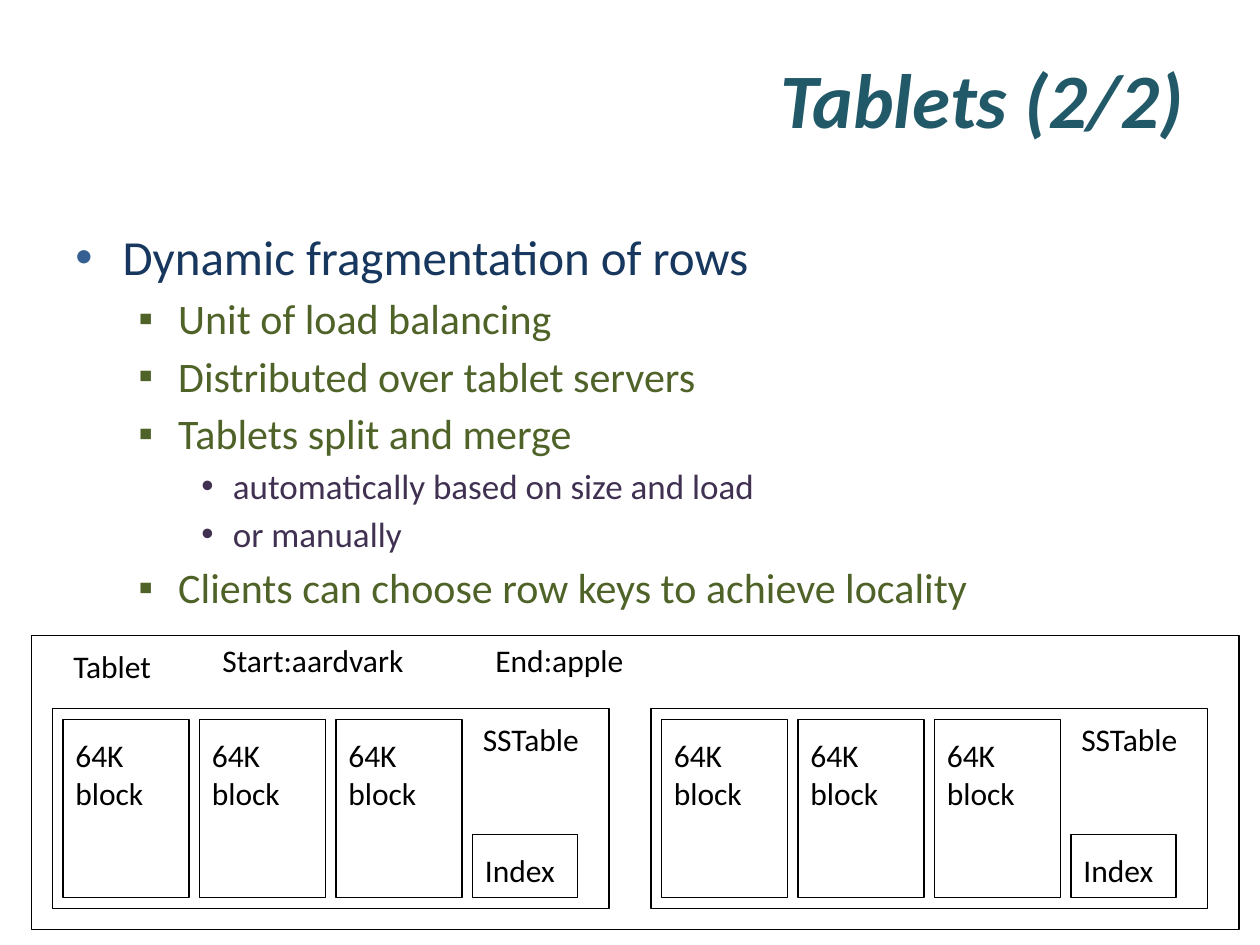
from dataclasses import dataclass

from lxml import etree
from pptx import Presentation
from pptx.dml.color import RGBColor
from pptx.enum.shapes import MSO_SHAPE
from pptx.enum.text import MSO_ANCHOR, MSO_AUTO_SIZE, PP_ALIGN
from pptx.oxml.ns import qn
from pptx.util import Emu, Pt

RECTANGLE = MSO_SHAPE.RECTANGLE
MIDDLE = MSO_ANCHOR.MIDDLE
GROW = MSO_AUTO_SIZE.SHAPE_TO_FIT_TEXT
RIGHT = PP_ALIGN.RIGHT
EMU_PER_PX = 7620


@dataclass(frozen=True)
class BulletStyle:
    symbol: str
    symbol_color: str
    color: str
    size: int
    space_before: float
    indent: int
    hanging: int


@dataclass(frozen=True)
class Theme:
    font: str = "Calibri"
    background: str = "FFFFFF"
    ink: str = "000000"
    title_color: str = "215968"
    title_size: int = 44
    label_size: int = 18
    line_width: float = 0.75
    bullets: tuple = (
        BulletStyle("•", "376092", "17375E", 28, 5, 45, 45),
        BulletStyle("▪", "4F6228", "4F6228", 24, 4.1, 98, 38),
        BulletStyle("•", "403152", "403152", 20, 3.6, 150, 30),
    )


def px(length):
    return Emu(length * EMU_PER_PX)


class SlideBuilder:
    def __init__(self, slide, theme):
        self.slide = slide
        self.theme = theme
        fill = slide.background.fill
        fill.solid()
        fill.fore_color.rgb = RGBColor.from_string(theme.background)

    def format_font(self, paragraph, size, color, emphasis=False):
        for run in paragraph.runs:
            font = run.font
            font.name = self.theme.font
            font.size = Pt(size)
            font.color.rgb = RGBColor.from_string(color)
            font.bold = font.italic = emphasis

    def text_box(self, left, top, width, height):
        shape = self.slide.shapes.add_textbox(px(left), px(top), px(width), px(height))
        shape.text_frame.word_wrap = True
        return shape.text_frame

    def title(self, text, left, top, width, height):
        text_frame = self.text_box(left, top, width, height)
        text_frame.text = text
        text_frame.vertical_anchor = MIDDLE
        paragraph = text_frame.paragraphs[0]
        paragraph.alignment = RIGHT
        self.format_font(paragraph, self.theme.title_size, self.theme.title_color, True)

    def bullet_list(self, items, left, top, width, height):
        text_frame = self.text_box(left, top, width, height)
        text_frame.text = "\n".join(text for level, text in items)
        for index, (level, text) in enumerate(items):
            paragraph = text_frame.paragraphs[index]
            style = self.theme.bullets[level]
            self.add_bullet(paragraph, style)
            paragraph.level = level
            if index:
                paragraph.space_before = Pt(style.space_before)
            self.format_font(paragraph, style.size, style.color)

    def add_bullet(self, paragraph, style):
        properties = paragraph._p.get_or_add_pPr()
        properties.set("marL", str(px(style.indent)))
        properties.set("indent", str(-px(style.hanging)))
        color = etree.SubElement(properties, qn("a:buClr"))
        etree.SubElement(color, qn("a:srgbClr"), val=style.symbol_color)
        etree.SubElement(properties, qn("a:buFont"), typeface="Arial")
        etree.SubElement(properties, qn("a:buChar"), char=style.symbol)

    def label(self, text, left, top, width, height=48, wrap=False):
        text_frame = self.text_box(left, top, width, height)
        text_frame.word_wrap = wrap
        text_frame.auto_size = GROW
        text_frame.text = text
        self.format_font(text_frame.paragraphs[0], self.theme.label_size, self.theme.ink)

    def frame(self, left, top, width, height):
        shape = self.slide.shapes.add_shape(
            RECTANGLE, px(left), px(top), px(width), px(height)
        )
        shape.shadow.inherit = False
        shape.fill.background()
        shape.line.color.rgb = RGBColor.from_string(self.theme.ink)
        shape.line.width = Pt(self.theme.line_width)

    def sstable(self, left, top, block_count=3, block_pitch=130):
        self.frame(left, top, 530, 190)
        for index in range(block_count):
            block_left = left + 10 + index * block_pitch
            self.frame(block_left, top + 10, 120, 170)
            self.label("64K block", block_left, top + 20, 110, 84, wrap=True)
        index_left = left + 10 + block_count * block_pitch
        self.frame(index_left, top + 120, 100, 60)
        self.label("Index", index_left, top + 130, 97)
        self.label("SSTable", index_left - 2, top + 5, 139)


def main():
    presentation = Presentation()
    presentation.slide_width = px(1200)
    presentation.slide_height = px(900)
    slide = presentation.slides.add_slide(presentation.slide_layouts[6])
    builder = SlideBuilder(slide, Theme())

    builder.title("Tablets (2/2)", 60, 36, 1080, 114)
    builder.bullet_list(
        [
            (0, "Dynamic fragmentation of rows"),
            (1, "Unit of load balancing"),
            (1, "Distributed over tablet servers"),
            (1, "Tablets split and merge"),
            (2, "automatically based on size and load"),
            (2, "or manually"),
            (1, "Clients can choose row keys to achieve locality"),
        ],
        60, 210, 1080, 594,
    )
    for left in (50, 620):
        builder.sstable(left, 675)
    builder.frame(30, 605, 1150, 280)
    builder.label("Tablet", 58, 610, 108)
    builder.label("Start:aardvark", 200, 605, 240, wrap=True)
    builder.label("End:apple", 460, 605, 180, wrap=True)

    presentation.save("out.pptx")


if __name__ == "__main__":
    main()
